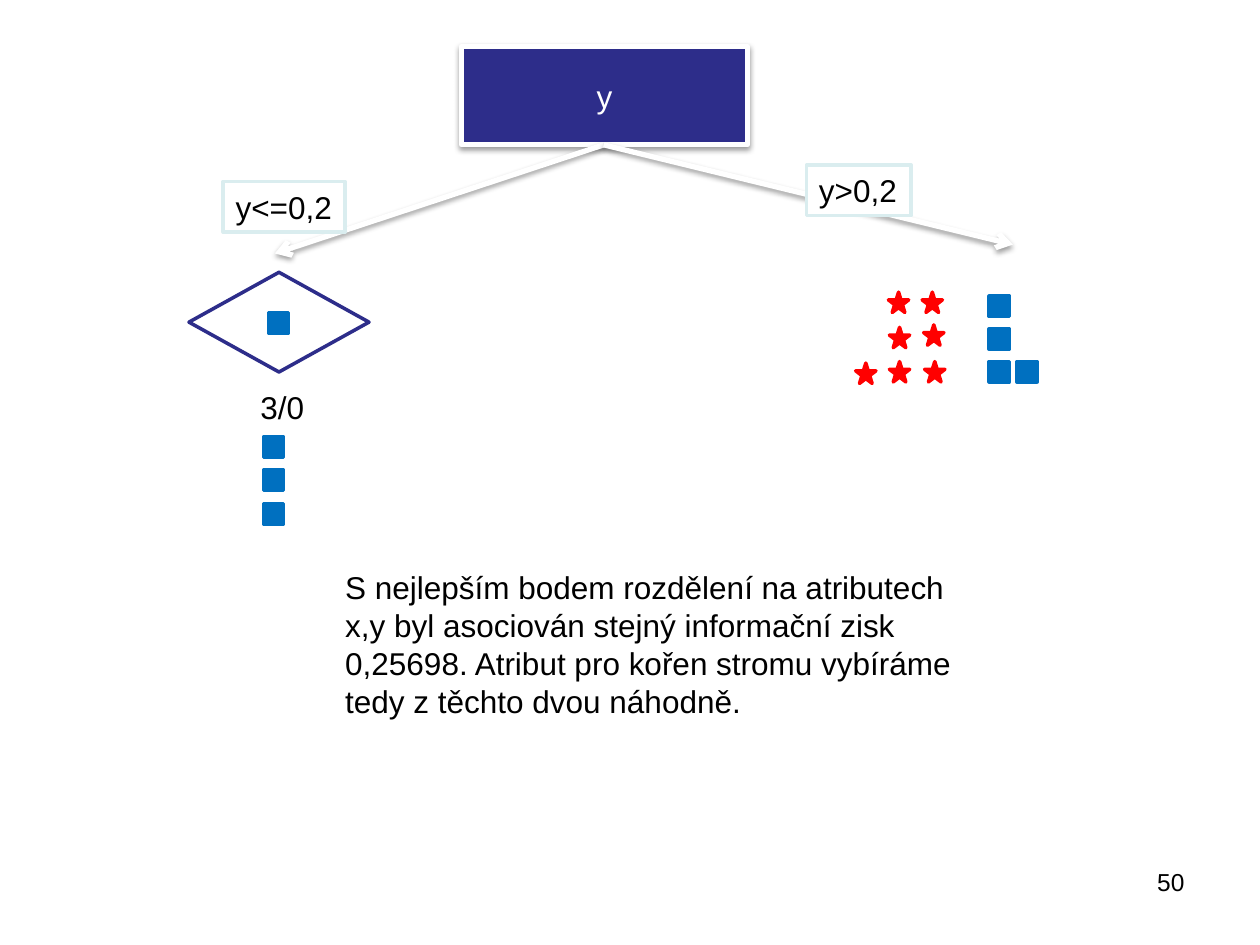
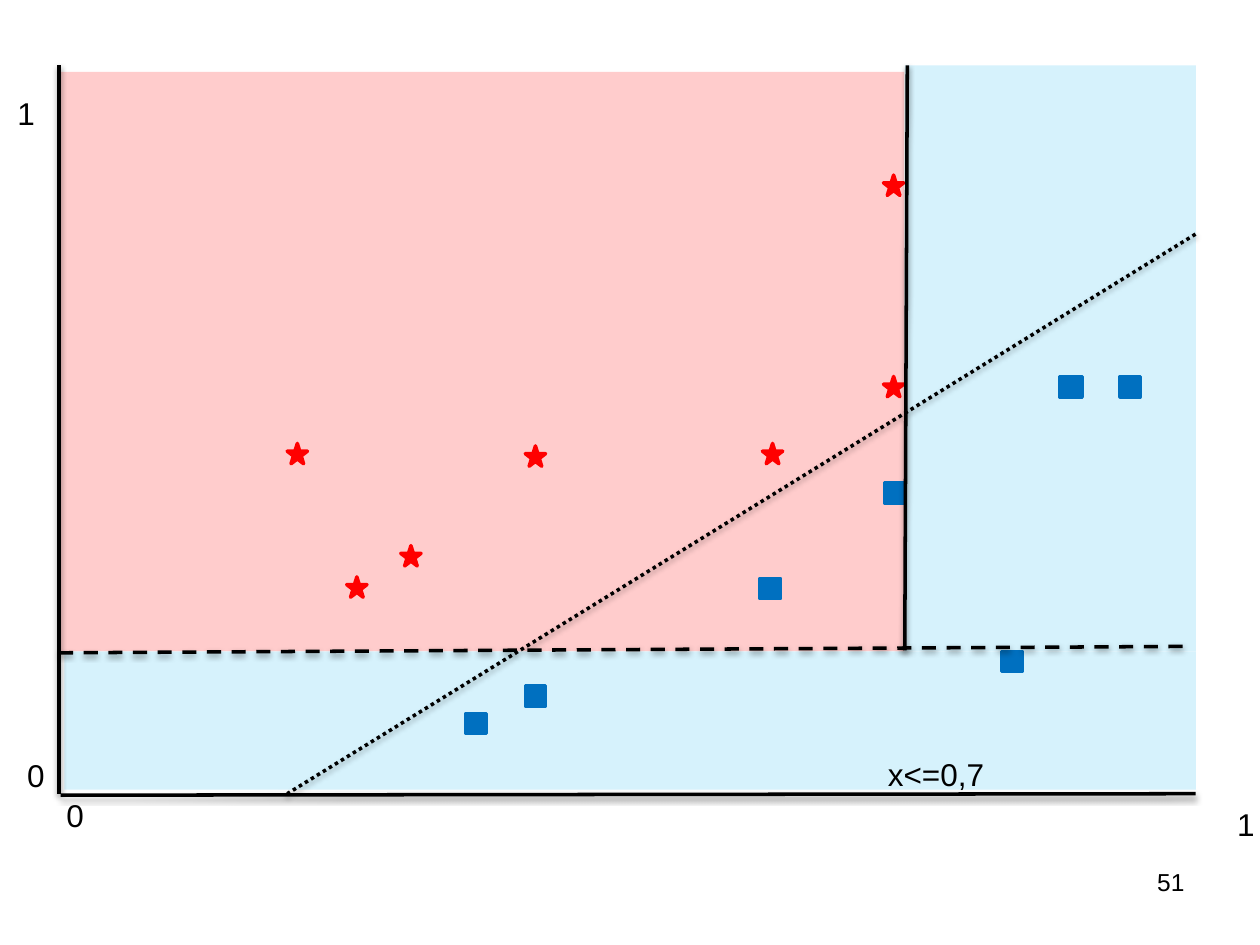
from lxml.etree import SubElement
from pptx import Presentation
from pptx.dml.color import RGBColor
from pptx.enum.dml import MSO_LINE
from pptx.enum.shapes import MSO_CONNECTOR, MSO_SHAPE
from pptx.enum.text import MSO_ANCHOR, MSO_AUTO_SIZE, PP_ALIGN
from pptx.oxml.ns import qn
from pptx.util import Cm, Pt

NAVY, RED, BLUE = "2D2D8A", "FF0000", "0070C0"
SKY, PINK, PALE = "00B0F0", "FFCCCC", "DAEDEF"
WHITE, BLACK = "FFFFFF", "000000"
FONT = "Arial"
MARKER = 0.41  # side of a star or square, cm
STAR = (MSO_SHAPE.STAR_5_POINT, RED)
SQUARE = (MSO_SHAPE.RECTANGLE, BLUE)


def rgb(color):
    return RGBColor.from_string(color)


def add_shadow(s):
    """Soft shadow straight below a shape or connector."""
    sp_pr = s._element.spPr
    effects = sp_pr.find(qn("a:effectLst"))
    if effects is None:
        effects = SubElement(sp_pr, qn("a:effectLst"))
    outer = SubElement(effects, qn("a:outerShdw"), blurRad="40000",
                       dist="20000", dir="5400000", rotWithShape="0")
    color = SubElement(outer, qn("a:srgbClr"), val=BLACK)
    SubElement(color, qn("a:alpha"), val="38000")


def write(s, text, size=18, color=BLACK, align=PP_ALIGN.LEFT,
          anchor=MSO_ANCHOR.TOP, wrap=True, grow=False):
    tf = s.text_frame
    fit = MSO_AUTO_SIZE.SHAPE_TO_FIT_TEXT if grow else MSO_AUTO_SIZE.NONE
    frame_format = {"word_wrap": wrap, "auto_size": fit, "vertical_anchor": anchor}
    for name, value in frame_format.items():
        setattr(tf, name, value)
    p = tf.paragraphs[0]
    p.alignment = align
    r = p.add_run()
    r.text = text
    for name, value in {"name": FONT, "size": Pt(size)}.items():
        setattr(r.font, name, value)
    r.font.color.rgb = rgb(color)


def add_shape(slide, kind, box, fill, line=None, width=2, alpha=None):
    s = slide.shapes.add_shape(kind, *map(Cm, box))
    s.shadow.inherit = False
    s.fill.solid()
    s.fill.fore_color.rgb = rgb(fill)
    if alpha:
        color = s._element.spPr.find(qn("a:solidFill"))[0]
        SubElement(color, qn("a:alpha"), val=str(alpha * 1000))
    if line:
        s.line.color.rgb = rgb(line)
        s.line.width = Pt(width)
    else:
        s.line.fill.background()
    return s


def add_markers(slide, style, points):
    kind, color = style
    for x, y in points:
        add_shape(slide, kind, (x, y, MARKER, MARKER), color, color)


def add_line(slide, start, end, color=BLACK, width=2, dash=None, arrow=False):
    s = slide.shapes.add_connector(MSO_CONNECTOR.STRAIGHT, *map(Cm, start + end))
    s.line.color.rgb = rgb(color)
    s.line.width = Pt(width)
    if dash:
        s.line.dash_style = dash
    if arrow:
        SubElement(s._element.spPr.find(qn("a:ln")), qn("a:tailEnd"), type="arrow")
    add_shadow(s)


def add_text(slide, text, box, **options):
    write(slide.shapes.add_textbox(*map(Cm, box)), text, **options)


def add_condition(slide, text, box):
    s = add_shape(slide, MSO_SHAPE.RECTANGLE, box, WHITE, PALE)
    write(s, text, wrap=False, grow=True)


def new_slide(prs, number):
    slide = prs.slides.add_slide(prs.slide_layouts[6])
    add_text(slide, number, (18.21, 17.35, 5.92, 1.32), size=14, align=PP_ALIGN.RIGHT)
    return slide


def build_tree(prs):
    slide = new_slide(prs, "50")

    # Root and branches
    root = add_shape(slide, MSO_SHAPE.RECTANGLE, (9.3, 0.94, 5.77, 1.98), NAVY, WHITE, 3)
    add_shadow(root)
    write(root, "y", color=WHITE, align=PP_ALIGN.CENTER, anchor=MSO_ANCHOR.MIDDLE)
    for end in ((5.54, 5.11), (20.42, 4.93)):
        add_line(slide, (12.17, 2.92), end, WHITE, 3, arrow=True)
    add_condition(slide, "y<=0,2", (4.5, 3.66, 2.46, 1.02))
    add_condition(slide, "y>0,2", (16.26, 3.33, 2.11, 1.02))

    # Right branch: mixed examples
    add_markers(slide, STAR, [(17.25, 7.32), (17.91, 5.89), (17.93, 6.6), (17.93, 7.29),
                              (18.59, 5.89), (18.62, 6.55), (18.64, 7.29)])
    add_markers(slide, SQUARE, [(19.94, 5.97 + 0.66 * i) for i in range(3)])
    add_markers(slide, SQUARE, [(20.5, 7.29)])

    # Left branch: pure leaf
    add_shape(slide, MSO_SHAPE.DIAMOND, (3.81, 5.49, 3.63, 2.01), WHITE, NAVY)
    add_markers(slide, SQUARE, [(5.41, 6.3)])
    add_text(slide, "3/0", (5, 7.7, 4.29, 1.02), grow=True)
    add_markers(slide, SQUARE, [(5.31, 8.81 + 0.67 * i) for i in range(3)])

    # Explanation
    add_text(slide, "S nejlepším bodem rozdělení na atributech x,y byl asociován "
                    "stejný informační zisk 0,25698. Atribut pro kořen stromu "
                    "vybíráme tedy z těchto dvou náhodně.",
             (6.71, 11.33, 12.8, 3.33), grow=True)


def build_plane(prs):
    slide = new_slide(prs, "51")

    # Class regions
    for box, fill, alpha in (((1.3, 13.13, 22.81, 2.79), SKY, 16),
                             ((18.24, 1.32, 5.87, 11.81), SKY, 16),
                             ((1.19, 1.45, 17.04, 11.68), PINK, None)):
        add_shape(slide, MSO_SHAPE.RECTANGLE, box, fill, alpha=alpha)

    # Axes
    add_line(slide, (1.19, 1.32), (1.19, 16))
    add_line(slide, (24.1, 16), (1.22, 16.03))

    # Examples
    add_markers(slide, STAR, [(5.79, 8.94), (10.59, 8.99), (6.99, 11.63), (8.08, 11),
                              (17.81, 7.59), (15.37, 8.94), (17.81, 3.53)])
    add_markers(slide, SQUARE, [(10.59, 13.82), (21.41, 7.59), (15.32, 11.66),
                                (17.83, 9.73), (20.19, 13.13), (9.4, 14.38),
                                (21.36, 7.59), (22.58, 7.59)])

    # Decision boundaries
    add_line(slide, (24.1, 4.72), (5.79, 16), dash=MSO_LINE.ROUND_DOT)
    add_line(slide, (18.24, 13.11), (18.29, 1.32))
    add_line(slide, (1.19, 13.16), (24, 13.03), dash=MSO_LINE.DASH)

    # Axis and split labels
    for text, x, y, width in (("0", 1.09, 15.93, 0.86), ("1", 24.69, 16.1, 0.86),
                              ("1", 0.1, 1.78, 0.86), ("0", 0.3, 15.11, 0.86),
                              ("x<=0,7", 17.65, 15.09, 2.46)):
        add_text(slide, text, (x, y, width, 1.02), wrap=False, grow=True)


def main():
    prs = Presentation()
    prs.slide_width, prs.slide_height = Cm(25.4), Cm(19.05)
    build_tree(prs)
    build_plane(prs)
    prs.save("out.pptx")


if __name__ == "__main__":
    main()
